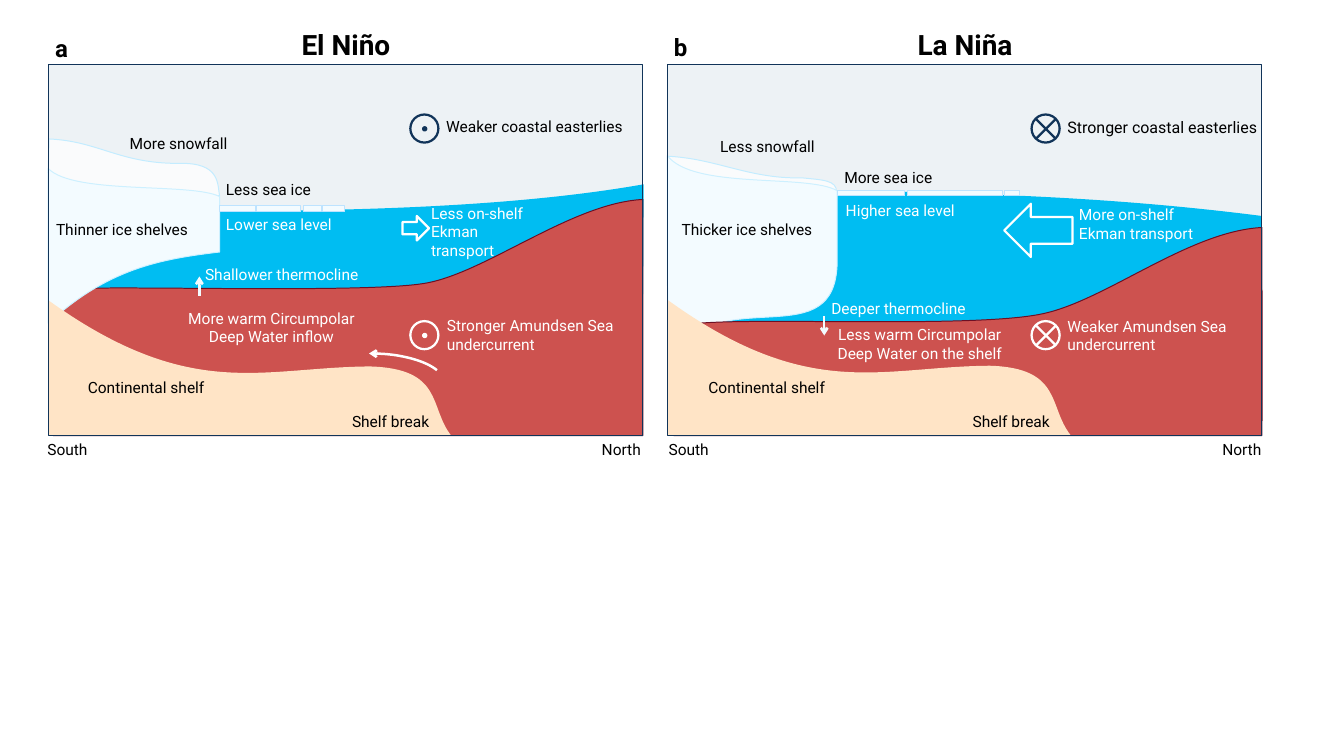
from pptx import Presentation
from pptx import util as u
from pptx.dml.color import RGBColor
from pptx.enum import shapes, text
from pptx.oxml.ns import qn
from lxml import etree

PX = 9144  # 100 px to the inch
SHIFT = 860  # distance from panel a to panel b
BLACK = RGBColor(0x00, 0x00, 0x00)
WHITE = RGBColor(0xFF, 0xFF, 0xFF)
SKY = RGBColor(0xED, 0xF2, 0xF5)
SEA = RGBColor(0x00, 0xBD, 0xF2)
WARM = RGBColor(0xCD, 0x52, 0x4F)
WINE = RGBColor(0x6D, 0x0F, 0x24)
SAND = RGBColor(0xFF, 0xE4, 0xC6)
ICE = RGBColor(0xF3, 0xFB, 0xFF)
RIM = RGBColor(0xCD, 0xF0, 0xFF)
CREST = RGBColor(0xC3, 0xEC, 0xFF)
EDGE = RGBColor(0xBD, 0xE3, 0xFF)
NAVY = RGBColor(0x11, 0x34, 0x59)

KIND = shapes.MSO_SHAPE
LEFT, MID, RIGHT = text.PP_ALIGN.LEFT, text.PP_ALIGN.CENTER, text.PP_ALIGN.RIGHT

# Outlines: a start point, then (x, y) lines or six-number curves.
PANEL_A = {
    "sea": [(81, 295), (220, 289, 611, 306, 894, 256), (894, 365, 893, 476, 890, 584),
            (67, 582), (67, 483, 81, 394, 81, 295)],
    "snow": [(68, 193), (137, 196, 165, 227, 248, 227), (307, 225, 302, 257, 305, 272),
             (226, 262, 97, 263, 67, 240)],
    "warm": [(74, 605), (115, 528, 74, 470, 79, 436), (84, 402, 59, 417, 104, 401),
             (176, 397, 503, 407, 587, 394), (671, 382, 793, 282, 893, 277),
             (893, 410, 893, 481, 893, 605)],
    "ice": [(67, 234), (103, 271, 265, 253, 305, 273), (305, 350),
            (222, 360, 150, 373, 67, 449)],
    "shelf": [(67, 604), (67, 542, 67, 480, 67, 417), (265, 559, 363, 510, 514, 509),
              (616, 512, 596, 565, 626, 604)],
    "order": ("sea", "snow", "warm", "ice", "shelf"),
    "floes": (286, [(305, 50), (356, 62), (421, 25), (448, 31)]),
    "labels": [
        ("South", 56, 606, 224, 37, LEFT, BLACK),
        ("Less sea ice", 304, 245, 223, 37, LEFT, BLACK),
        ("More snowfall", 136, 181, 224, 37, MID, BLACK),
        ("Weaker coastal easterlies", 610, 158, 313, 37, LEFT, BLACK),
        ("Thinner ice shelves", 68, 300, 225, 37, LEFT, BLACK),
        ("Lower sea level", 304, 294, 226, 37, LEFT, WHITE),
        ("Less on-shelf Ekman transport", 589, 278, 152, 88, LEFT, WHITE),
        ("Shallower thermocline", 275, 363, 261, 36, LEFT, WHITE),
        ("More warm Circumpolar Deep Water inflow", 233, 424, 288, 64, MID, WHITE),
        ("Stronger Amundsen Sea undercurrent", 611, 434, 264, 62, LEFT, WHITE),
    ],
    "ekman": (KIND.RIGHT_ARROW, 559, 300, 37, 34),
    "drift": (277, 411, 277, 384),
    "ring": 570,
}
PANEL_B = {
    "sea": [(928, 256), (1187, 271, 1432, 259, 1753, 300),
            (1753, 392, 1753, 483, 1752, 574), (928, 574)],
    "snow": [(927, 217), (995, 220, 1041, 249, 1114, 247), (1142, 250, 1163, 250, 1162, 267),
             (1084, 258, 956, 256, 927, 236)],
    "warm": [(936, 605), (949, 497, 904, 475, 971, 449), (1062, 441, 1365, 456, 1452, 435),
             (1539, 415, 1653, 321, 1753, 316), (1753, 449, 1754, 481, 1753, 605)],
    "ice": [(927, 216), (963, 264, 1123, 241, 1163, 265), (1163, 364),
            (1161, 495, 1010, 393, 928, 491), (927, 400, 927, 308, 927, 216)],
    "shelf": [(928, 604), (928, 542, 928, 479, 928, 417), (1125, 559, 1224, 509, 1375, 508),
              (1476, 511, 1456, 565, 1487, 604)],
    "order": ("sea", "snow", "ice", "warm", "shelf"),
    "floes": (264, [(1163, 94), (1260, 133), (1395, 21)]),
    "labels": [
        ("South", 919, 606, 224, 37, LEFT, BLACK),
        ("More sea ice", 1163, 228, 224, 37, LEFT, BLACK),
        ("Less snowfall", 954, 186, 224, 37, MID, BLACK),
        ("Stronger coastal easterlies", 1473, 159, 312, 37, LEFT, BLACK, 16),
        ("Thicker ice shelves", 937, 301, 208, 36, LEFT, BLACK),
        ("Higher sea level", 1165, 274, 211, 37, LEFT, WHITE),
        ("More on-shelf Ekman transport", 1489, 280, 219, 64, LEFT, WHITE),
        ("Deeper thermocline", 1145, 411, 211, 36, LEFT, WHITE),
        ("Less warm Circumpolar Deep Water on the shelf", 1142, 447, 271, 62, MID, WHITE),
        ("Weaker Amundsen Sea undercurrent", 1473, 435, 297, 62, LEFT, WHITE),
    ],
    "ekman": (KIND.LEFT_ARROW, 1395, 283, 95, 74),
    "drift": (1145, 439, 1145, 466),
    "ring": 1433,
}
PAINT = {"sea": (SEA, None), "snow": (WHITE, CREST), "warm": (WARM, WINE),
         "ice": (ICE, RIM), "shelf": (SAND, None)}


def style(item, fill=None, line=None, width=1):
    item.shadow.inherit = False
    if fill is None:
        item.fill.background()
    else:
        item.fill.solid()
        item.fill.fore_color.rgb = fill
    if line is None:
        item.line.fill.background()
    else:
        item.line.color.rgb = line
        item.line.width = u.Pt(width)
    return item


def shape(slide, kind, x, y, w, h, *look):
    item = slide.shapes.add_shape(kind, x * PX, y * PX, w * PX, h * PX)
    return style(item, *look)


def layer(slide, path, fill, line):
    """Draw an outline through its end points, then bend the curved parts."""
    ends = [part[-2:] for part in path]
    pen = slide.shapes.build_freeform(*ends[0], scale=float(PX))
    pen.add_line_segments(ends[1:], close=True)
    item = pen.convert_to_shape()
    left, top = (min(axis) for axis in zip(*ends))
    legs = list(item._element.iter(qn("a:lnTo")))
    for leg, part in zip(legs, path[1:]):
        if len(part) == 6:
            leg.tag_name = None
            bend = etree.Element(qn("a:cubicBezTo"))
            for x, y in zip(part[::2], part[1::2]):
                spot = etree.SubElement(bend, qn("a:pt"))
                spot.set("x", str(x - left))
                spot.set("y", str(y - top))
            leg.getparent().replace(leg, bend)
    return style(item, fill, line)


def fade(item, share):
    tint = item.fill._xPr.find(qn("a:solidFill"))[0]
    etree.SubElement(tint, qn("a:alpha")).set("val", str(share * 1000))


def tip(item, end):
    etree.SubElement(item.line._get_or_add_ln(), qn(end)).set("type", "arrow")


def line(slide, x1, y1, x2, y2, color, width):
    item = slide.shapes.add_connector(shapes.MSO_CONNECTOR.STRAIGHT,
                                      x1 * PX, y1 * PX, x2 * PX, y2 * PX)
    item.line.color.rgb = color
    item.line.width = u.Pt(width)
    etree.SubElement(item._element.spPr, qn("a:effectLst"))
    return item


def label(slide, words, x, y, w, h, align, color, size=15.5, bold=False):
    box = slide.shapes.add_textbox(x * PX, y * PX, w * PX, h * PX)
    frame = box.text_frame
    for key, val in {"word_wrap": True, "auto_size": text.MSO_AUTO_SIZE.SHAPE_TO_FIT_TEXT}.items():
        setattr(frame, key, val)
    para = frame.paragraphs[0]
    para.alignment = align
    run = para.add_run()
    run.text = words
    for key, val in {"name": "Roboto", "size": u.Pt(size), "bold": bold}.items():
        setattr(run.font, key, val)
    run.font.color.rgb = color


def flow(slide, x, y, color, inward):
    """Ring with a cross for flow into the page, or a dot for flow out of it."""
    shape(slide, KIND.OVAL, x, y, 39, 39, None, color, 2.25)
    if inward:
        for top, base in ((6, 34), (34, 6)):
            line(slide, x + 34, y + top, x + 6, y + base, color, 2.25)
    else:
        shape(slide, KIND.OVAL, x + 17, y + 17, 6, 6, color, color)


def panel(slide, data, letter, title, dx, inward):
    shape(slide, KIND.RECTANGLE, 67 + dx, 90, 826, 494, SKY)
    for name in data["order"]:
        item = layer(slide, data[name], *PAINT[name])
        if name == "snow":
            fade(item, 74)
    top, floes = data["floes"]
    for x, w in floes:
        shape(slide, KIND.RECTANGLE, x, top, w, 8, ICE, EDGE)
    shape(slide, *data["ekman"], None, WHITE, 2.25)
    tip(line(slide, *data["drift"], ICE, 2.5), "a:tailEnd")
    for y, color in ((159, NAVY), (446, WHITE)):
        flow(slide, data["ring"], y, color, inward)
    label(slide, title, 67 + dx, 33, 827, 57, MID, BLACK, 28, True)
    label(slide, letter, 66 + dx, 41 - inward, 39, 50, MID, BLACK, 24, True)
    nudge = dx + 2 * inward
    label(slide, "North", 658 + nudge, 606, 242, 37, RIGHT, BLACK)
    label(slide, "Continental shelf", 91 + nudge, 520, 224, 37, MID, BLACK)
    label(slide, "Shelf break", 387 + nudge, 568, 219, 37, RIGHT, BLACK)
    for entry in data["labels"]:
        label(slide, *entry)
    shape(slide, KIND.RECTANGLE, 67 + dx, 90, 826, 515, None, NAVY)


def inflow(slide):
    arc = shape(slide, KIND.ARC, 411, 491, 207, 84, None, WHITE, 2.5)
    arc.adjustments[0], arc.adjustments[1] = 160.51, 209.11
    tip(arc, "a:headEnd")


def main():
    deck = Presentation()
    deck.slide_width, deck.slide_height = 1867 * PX, 1050 * PX
    slide = deck.slides.add_slide(deck.slide_layouts[6])
    panel(slide, PANEL_A, "a", "El Niño", 0, False)
    inflow(slide)
    panel(slide, PANEL_B, "b", "La Niña", SHIFT, True)
    deck.save("out.pptx")


if __name__ == "__main__":
    main()
